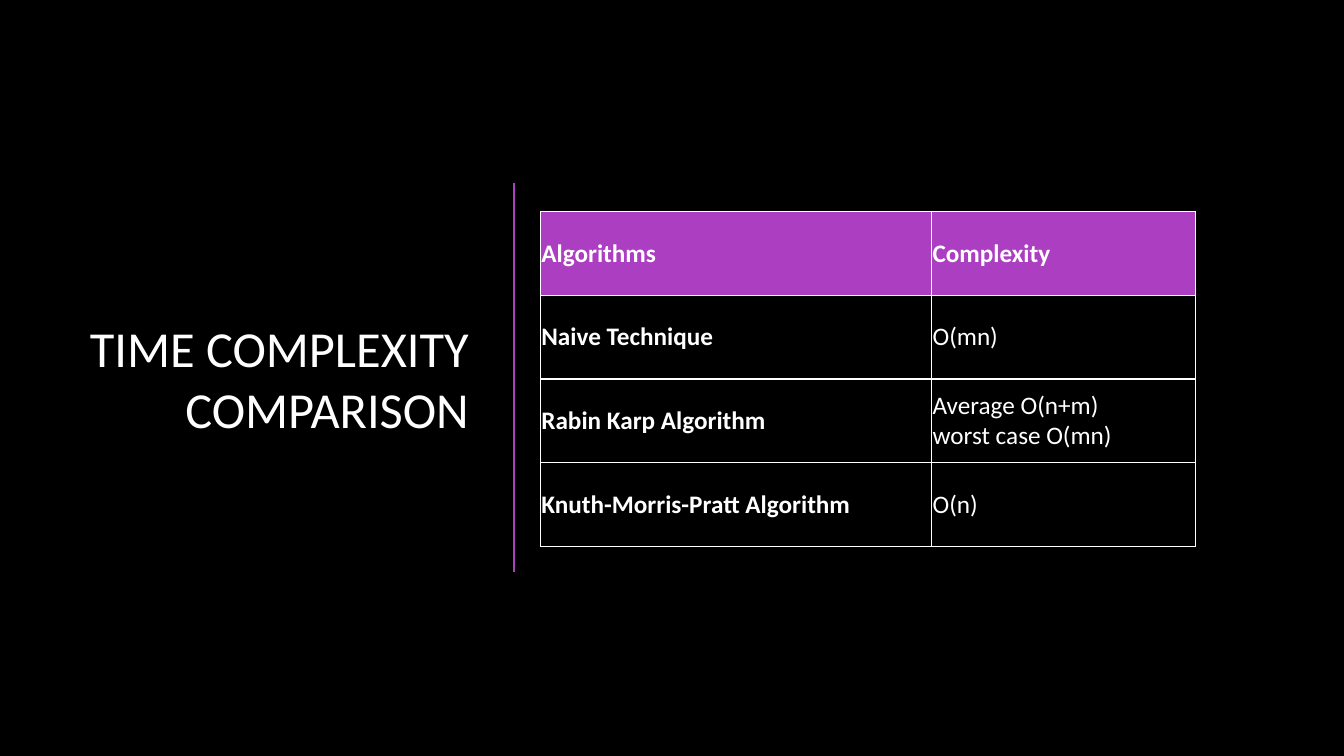
from lxml import etree
from pptx import Presentation
from pptx.dml.color import RGBColor
from pptx.enum.shapes import MSO_CONNECTOR
from pptx.enum.text import MSO_ANCHOR, PP_ALIGN
from pptx.oxml.ns import qn
from pptx.util import Inches, Pt

BLACK = RGBColor(0x00, 0x00, 0x00)
WHITE = RGBColor(0xFF, 0xFF, 0xFF)
PURPLE = RGBColor(0xAC, 0x3E, 0xC1)
STRAIGHT = MSO_CONNECTOR.STRAIGHT
MIDDLE = MSO_ANCHOR.MIDDLE
RIGHT = PP_ALIGN.RIGHT
JUSTIFY = PP_ALIGN.JUSTIFY

FONT = "Calibri"
SLIDE_WIDTH, SLIDE_HEIGHT = Inches(13.33), Inches(7.5)
COLUMN_WIDTHS = (Inches(3.88), Inches(2.62))
ROW_HEIGHT = Inches(0.83)
CELL_MARGIN = Inches(0.01)
COMPLEXITIES = (
    ("Algorithms", "Complexity"),
    ("Naive Technique", "O(mn)"),
    ("Rabin Karp Algorithm", "Average O(n+m)\nworst case O(mn)"),
    ("Knuth-Morris-Pratt Algorithm", "O(n)"),
)


def format_text(text_frame, size, alignment, bold=False):
    for paragraph in text_frame.paragraphs:
        paragraph.alignment = alignment
        for run in paragraph.runs:
            run.font.name = FONT
            run.font.size = Pt(size)
            run.font.bold = bold
            run.font.color.rgb = WHITE


def add_title(slide, text, left, top, width, height):
    text_frame = slide.shapes.add_textbox(left, top, width, height).text_frame
    text_frame.word_wrap = True
    text_frame.vertical_anchor = MIDDLE
    text_frame.text = text
    format_text(text_frame, 36, RIGHT)


def add_divider(slide, left, top, bottom):
    divider = slide.shapes.add_connector(STRAIGHT, left, top, left, bottom)
    divider.line.color.rgb = PURPLE
    divider.line.width = Pt(1.5)
    etree.SubElement(divider._element.spPr, qn("a:effectLst"))


def add_borders(cell):
    properties = cell._tc.get_or_add_tcPr()
    for position, side in enumerate(("a:lnL", "a:lnR", "a:lnT", "a:lnB")):
        border = etree.Element(qn(side), w=str(Pt(1)))
        fill = etree.SubElement(border, qn("a:solidFill"))
        etree.SubElement(fill, qn("a:srgbClr"), val=str(WHITE))
        properties.insert(position, border)


def format_cell(cell, text, fill_color, bold):
    cell.text_frame.text = text
    cell.vertical_anchor = MIDDLE
    cell.margin_left = cell.margin_right = CELL_MARGIN
    cell.margin_top = cell.margin_bottom = CELL_MARGIN
    cell.fill.solid()
    cell.fill.fore_color.rgb = fill_color
    format_text(cell.text_frame, 18, JUSTIFY, bold)
    add_borders(cell)


def add_complexity_table(slide, left, top):
    row_count = len(COMPLEXITIES)
    table = slide.shapes.add_table(
        row_count, len(COLUMN_WIDTHS), left, top,
        sum(COLUMN_WIDTHS), ROW_HEIGHT * row_count,
    ).table
    for column, width in zip(table.columns, COLUMN_WIDTHS):
        column.width = width
    for row_index, texts in enumerate(COMPLEXITIES):
        table.rows[row_index].height = ROW_HEIGHT
        is_header = row_index == 0
        for column_index, text in enumerate(texts):
            format_cell(
                table.cell(row_index, column_index), text,
                PURPLE if is_header else BLACK,
                is_header or column_index == 0,
            )


def main():
    presentation = Presentation()
    presentation.slide_width = SLIDE_WIDTH
    presentation.slide_height = SLIDE_HEIGHT
    slide = presentation.slides.add_slide(presentation.slide_layouts[6])
    slide.background.fill.solid()
    slide.background.fill.fore_color.rgb = BLACK
    add_title(slide, "TIME COMPLEXITY COMPARISON",
              Inches(0.75), Inches(1.26), Inches(4), Inches(4.98))
    add_divider(slide, Inches(5.1), Inches(1.82), Inches(5.67))
    add_complexity_table(slide, Inches(5.36), Inches(2.1))
    presentation.save("out.pptx")


if __name__ == "__main__":
    main()
